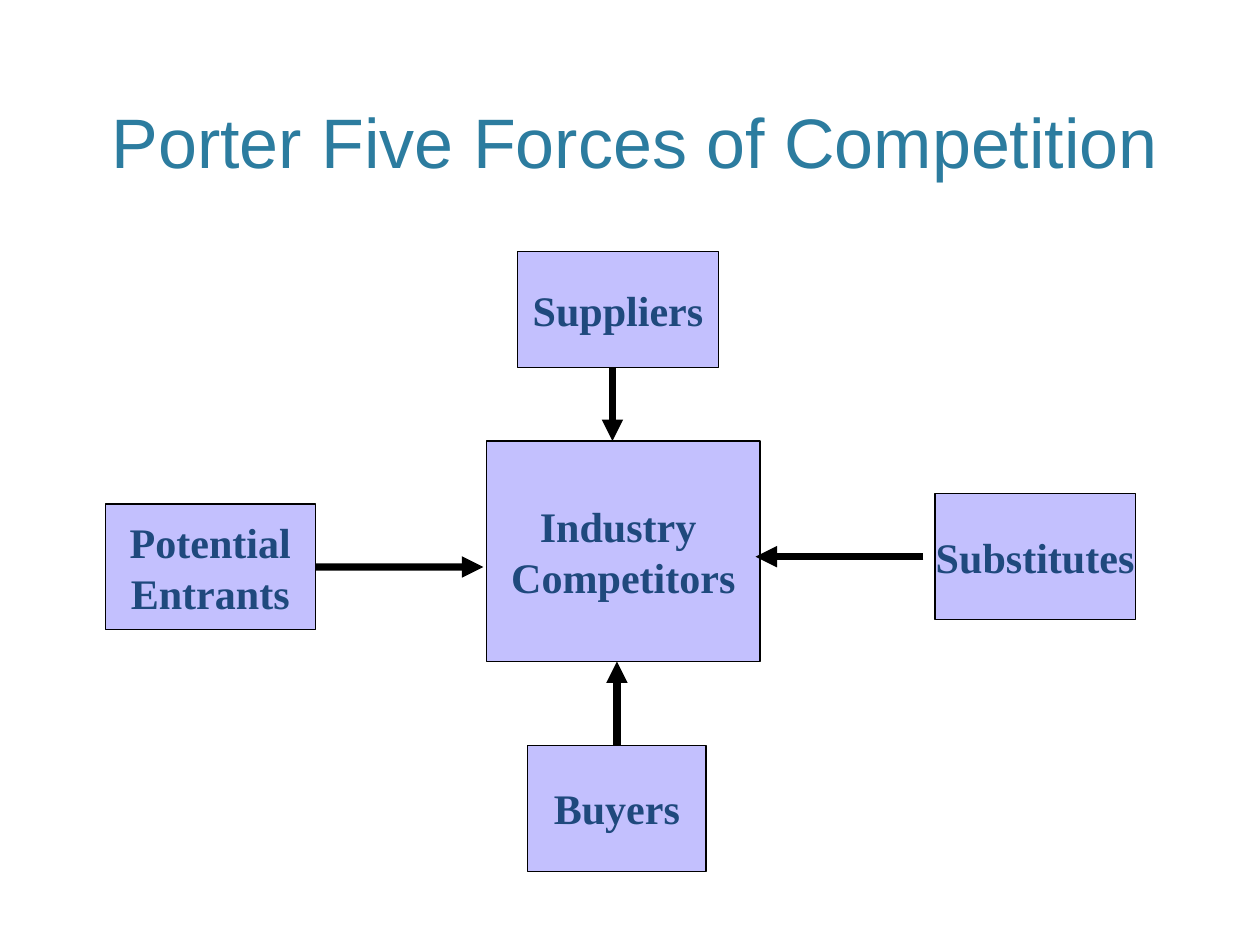
"""Build a slide showing the Porter five forces of competition."""

from dataclasses import dataclass

from lxml import etree
from pptx import Presentation
from pptx.dml.color import RGBColor
from pptx.enum.shapes import MSO_CONNECTOR, MSO_SHAPE
from pptx.enum.text import MSO_ANCHOR, MSO_AUTO_SIZE, PP_ALIGN
from pptx.oxml.ns import qn
from pptx.shapes.autoshape import Shape
from pptx.slide import Slide
from pptx.text.text import TextFrame
from pptx.util import Cm, Pt

RECTANGLE = MSO_SHAPE.RECTANGLE
STRAIGHT = MSO_CONNECTOR.STRAIGHT
CENTER = PP_ALIGN.CENTER
MIDDLE = MSO_ANCHOR.MIDDLE
BOTTOM = MSO_ANCHOR.BOTTOM
NO_AUTOFIT = MSO_AUTO_SIZE.NONE

BLACK = RGBColor(0x00, 0x00, 0x00)
LAVENDER = RGBColor(0xC3, 0xC0, 0xFE)
NAVY = RGBColor(0x1F, 0x49, 0x7D)
TEAL = RGBColor(0x2C, 0x7C, 0x9F)

TITLE_ONLY_LAYOUT = 5
TOP_SIDE, LEFT_SIDE, RIGHT_SIDE = 0, 1, 3


@dataclass(frozen=True)
class TextStyle:
    font: str
    size: float
    color: RGBColor
    bold: bool


@dataclass(frozen=True)
class Box:
    lines: tuple[str, ...]
    left: float
    top: float
    width: float
    height: float


@dataclass(frozen=True)
class Arrow:
    start: tuple[float, float]
    end: tuple[float, float]
    source: str = ""
    source_side: int = TOP_SIDE


TITLE_STYLE = TextStyle("Arial", 44.1, TEAL, False)
BOX_STYLE = TextStyle("Times New Roman", 26.5, NAVY, True)

BOXES = {
    "industry": Box(("Industry ", "Competitors"), 10.82, 9.8, 6.07, 4.9),
    "suppliers": Box(("Suppliers",), 11.51, 5.59, 4.45, 2.57),
    "substitutes": Box(("Substitutes",), 20.78, 10.97, 4.45, 2.8),
    "buyers": Box(("Buyers",), 11.73, 16.56, 3.96, 2.8),
    "entrants": Box(("Potential", "Entrants"), 2.34, 11.2, 4.67, 2.8),
}

ARROWS = (
    Arrow((13.61, 8.16), (13.61, 9.8)),
    Arrow((13.71, 16.56), (13.71, 14.7), "buyers", TOP_SIDE),
    Arrow((7.01, 12.6), (10.74, 12.6), "entrants", RIGHT_SIDE),
    Arrow((20.52, 12.37), (16.79, 12.37)),
)


def write_lines(frame: TextFrame, lines: tuple[str, ...], style: TextStyle) -> None:
    """Write each line as a centred paragraph."""
    for index, line in enumerate(lines):
        paragraph = frame.add_paragraph() if index else frame.paragraphs[0]
        paragraph.alignment = CENTER
        run = paragraph.add_run()
        run.text = line
        run.font.name = style.font
        run.font.size = Pt(style.size)
        run.font.bold = style.bold
        run.font.color.rgb = style.color


def add_title(slide: Slide, text: str) -> None:
    """Place and fill the title placeholder."""
    title = slide.shapes.title
    title.left, title.top = Cm(1.3), Cm(1.2)
    title.width, title.height = Cm(25.65), Cm(3)
    frame = title.text_frame
    frame.auto_size = NO_AUTOFIT
    frame.word_wrap = True
    frame.vertical_anchor = BOTTOM
    frame.margin_left = frame.margin_right = Cm(0.28)
    frame.margin_top = frame.margin_bottom = Cm(0.15)
    write_lines(frame, (text,), TITLE_STYLE)


def add_box(slide: Slide, box: Box) -> Shape:
    """Draw one labelled force."""
    shape = slide.shapes.add_shape(
        RECTANGLE, Cm(box.left), Cm(box.top), Cm(box.width), Cm(box.height)
    )
    shape.shadow.inherit = False
    shape.fill.solid()
    shape.fill.fore_color.rgb = LAVENDER
    shape.line.color.rgb = BLACK
    shape.line.width = Pt(0.75)
    frame = shape.text_frame
    frame.word_wrap = False
    frame.vertical_anchor = MIDDLE
    write_lines(frame, box.lines, BOX_STYLE)
    return shape


def add_arrow(slide: Slide, arrow: Arrow, shapes: dict[str, Shape]) -> None:
    """Draw one arrow, joined to its source box if it has one."""
    points = [Cm(value) for value in (*arrow.start, *arrow.end)]
    connector = slide.shapes.add_connector(STRAIGHT, *points)
    if arrow.source:
        connector.begin_connect(shapes[arrow.source], arrow.source_side)
    connector.line.color.rgb = BLACK
    connector.line.width = Pt(4.5)
    properties = connector._element.spPr
    line = properties.find(qn("a:ln"))
    etree.SubElement(line, qn("a:tailEnd"), type="triangle")
    etree.SubElement(properties, qn("a:effectLst"))


def main() -> None:
    """Build and save the presentation."""
    presentation = Presentation()
    presentation.slide_width = Cm(28)
    presentation.slide_height = Cm(21)
    layout = presentation.slide_layouts[TITLE_ONLY_LAYOUT]
    slide = presentation.slides.add_slide(layout)
    add_title(slide, "Porter Five Forces of Competition")
    shapes = {name: add_box(slide, box) for name, box in BOXES.items()}
    for arrow in ARROWS:
        add_arrow(slide, arrow, shapes)
    presentation.save("out.pptx")


if __name__ == "__main__":
    main()
